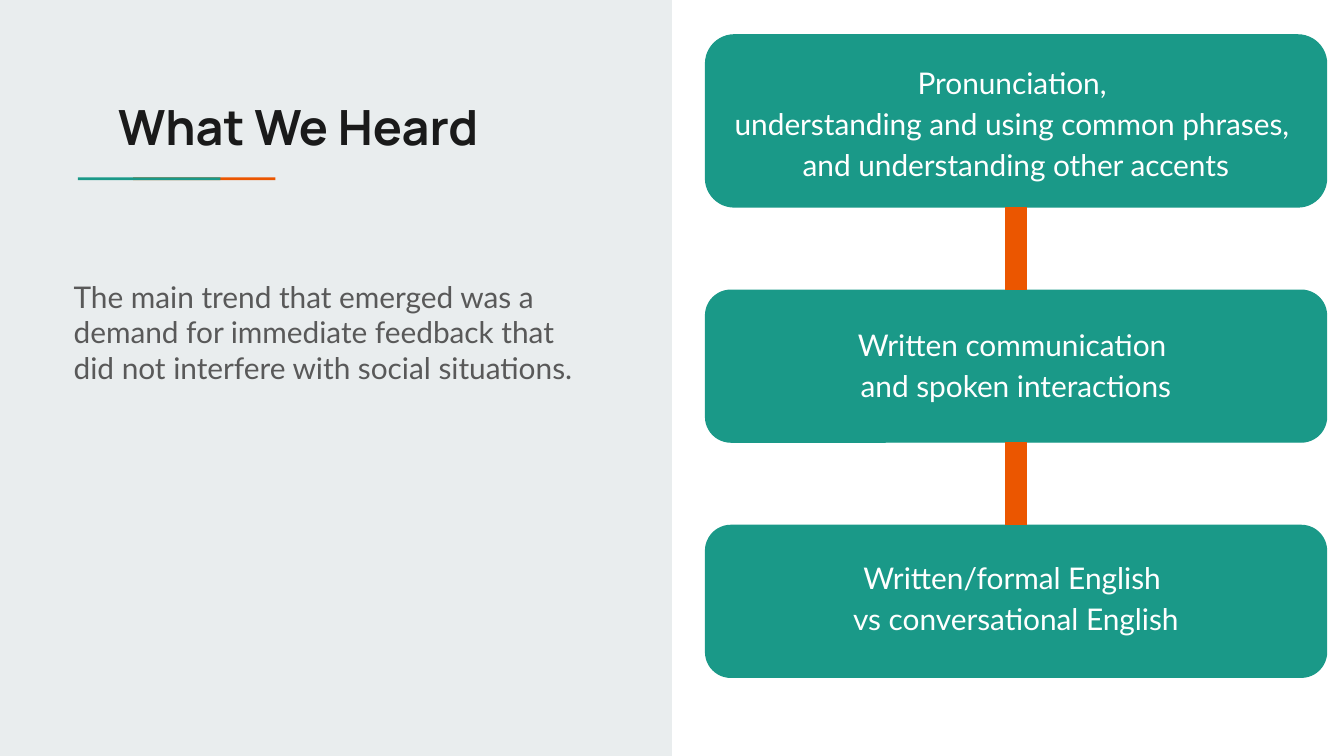
from itertools import pairwise

from lxml import etree
from pptx import Presentation
from pptx.dml.color import RGBColor
from pptx.enum import shapes, text
from pptx.oxml import ns
from pptx.util import Inches, Pt

TEAL = RGBColor(0x1A, 0x99, 0x88)
ORANGE = RGBColor(0xEB, 0x56, 0x00)
PALE = RGBColor(0xE9, 0xED, 0xEE)
INK = RGBColor(0x1A, 0x1A, 0x1A)
GRAY = RGBColor(0x59, 0x59, 0x59)
WHITE = RGBColor(0xFF, 0xFF, 0xFF)

SLIDE_WIDTH = 10
SLIDE_HEIGHT = SLIDE_WIDTH * 9 / 16

HEADINGS = [
    ("What We Heard", (0.78, 0.62, 3.61, 0.58),
     {"name": "Manrope", "size": Pt(26), "bold": True}, INK),
    ("The main trend that emerged was a demand for immediate feedback "
     "that did not interfere with social situations.",
     (0.45, 1.97, 3.99, 2.29), {"name": "Lato", "size": Pt(16)}, GRAY),
]
THEMES = [
    ("Pronunciation, \vunderstanding and using common phrases, "
     "\vand understanding other accents", 1.28, 0.1),
    ("Written communication \vand spoken interactions", 1.13, 0.15),
    ("Written/formal English \vvs conversational English", 1.13, 0.19),
]
THEME_FORMAT = {"name": "Lato", "size": Pt(16)}
THEME_LEFT, THEME_TOP, THEME_WIDTH, THEME_GAP = 5.25, 0.26, 4.62, 0.62
ACCENTS = [(0.99, ORANGE), (0.58, TEAL)]

deck = Presentation()
deck.slide_width, deck.slide_height = Inches(SLIDE_WIDTH), Inches(SLIDE_HEIGHT)
slide = deck.slides.add_slide(deck.slide_layouts[6])


def add_block(kind, box, color):
    block = slide.shapes.add_shape(kind, *map(Inches, box))
    block.shadow.inherit = False
    block.fill.solid()
    block.fill.fore_color.rgb = color
    block.line.fill.background()
    return block


def write(holder, wording, font_format, color, bottom=0.1):
    frame = holder.text_frame
    frame.word_wrap = True
    margins = {"margin_left": 0.1, "margin_right": 0.1,
               "margin_top": 0.1, "margin_bottom": bottom}
    for side, inset in margins.items():
        setattr(frame, side, Inches(inset))
    paragraph = frame.paragraphs[0]
    paragraph.text = wording
    for run in paragraph.runs:
        for key, value in font_format.items():
            setattr(run.font, key, value)
        run.font.color.rgb = color
    return paragraph


add_block(shapes.MSO_SHAPE.RECTANGLE,
          (0, 0, SLIDE_WIDTH / 2, SLIDE_HEIGHT), PALE)
for left, color in ACCENTS:
    add_block(shapes.MSO_SHAPE.RECTANGLE, (left, 1.32, 1.06, 0.02), color)

for wording, box, font_format, color in HEADINGS:
    heading = slide.shapes.add_textbox(*map(Inches, box))
    write(heading, wording, font_format, color)

themes = []
top = THEME_TOP
for wording, height, bottom in THEMES:
    theme = add_block(shapes.MSO_SHAPE.ROUNDED_RECTANGLE,
                      (THEME_LEFT, top, THEME_WIDTH, height), TEAL)
    theme.line.color.rgb = TEAL
    theme.line.width = Pt(0.75)
    theme.text_frame.vertical_anchor = text.MSO_ANCHOR.MIDDLE
    paragraph = write(theme, wording, THEME_FORMAT, WHITE, bottom)
    paragraph.alignment = text.PP_ALIGN.CENTER
    paragraph.line_spacing = 1.15
    themes.append(theme)
    top += height + THEME_GAP

for upper, lower in pairwise(themes):
    link = slide.shapes.add_connector(shapes.MSO_CONNECTOR.STRAIGHT, 0, 0, 0, 0)
    link.begin_connect(upper, 2)
    link.end_connect(lower, 0)
    link.line.color.rgb = ORANGE
    link.line.width = Pt(12)
    etree.SubElement(link._element.spPr, ns.qn("a:effectLst"))

deck.save("out.pptx")
